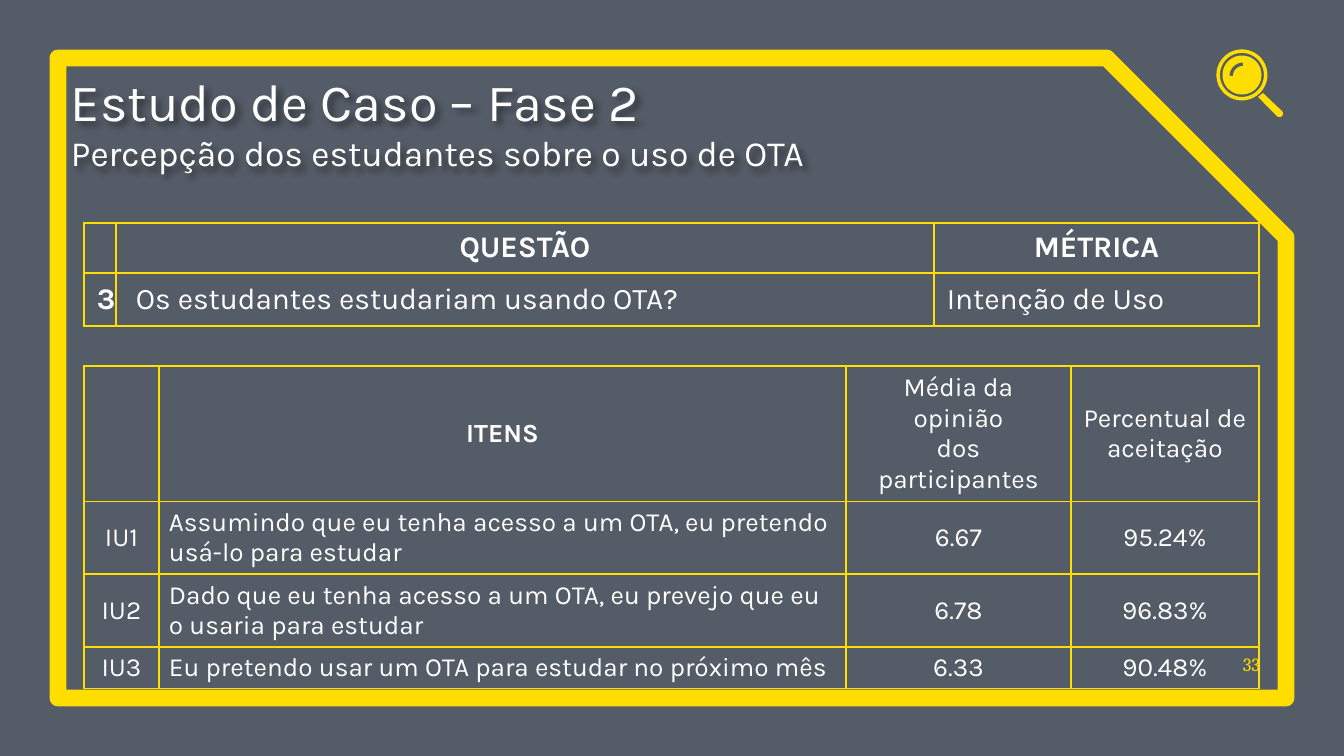
"""Build the slide on how students perceive the use of OTA."""
from math import cos, radians, sin

from lxml.etree import SubElement
from pptx import Presentation
from pptx.dml.color import RGBColor as RGB
from pptx.enum.shapes import MSO_SHAPE as SHAPE
from pptx.enum.text import MSO_ANCHOR as ANCHOR, PP_ALIGN as ALIGN
from pptx.oxml.ns import qn
from pptx.util import Pt

PX = 914400 / 134.4
THEME = {
    "yellow": "FFDE00", "white": "FFFFFF", "navy": "040F20",
    "font": "Karla", "number_font": "Cambria",
    "title": 28, "subtitle": 19, "question": 16, "item": 14, "number": 10,
}


def px(*values):
    return [round(v * PX) for v in values]


def write(tf, lines, align, **font):
    for i, (text, size) in enumerate(lines):
        p = tf.paragraphs[0] if i == 0 else tf.add_paragraph()
        p.alignment = align
        r = p.add_run()
        r.text = text
        look = {"name": THEME["font"], "size": Pt(size), "bold": False} | font
        color = look.pop("color", THEME["white"])
        for name, value in look.items():
            setattr(r.font, name, value)
        r.font.color.rgb = RGB.from_string(color)


prs = Presentation()
prs.slide_width, prs.slide_height = px(1344, 756)
s = prs.slides.add_slide(prs.slide_layouts[6])
yellow = RGB.from_string(THEME["yellow"])

veil = s.shapes.add_shape(SHAPE.RECTANGLE, *px(0, 0, 1344, 756))
veil.shadow.inherit = False
veil.fill.solid()
veil.fill.fore_color.rgb = RGB.from_string(THEME["navy"])
SubElement(veil.fill._xPr.find(".//" + qn("a:srgbClr")), qn("a:alpha"), val="68000")
veil.line.fill.background()

frame = s.shapes.add_shape(SHAPE.SNIP_1_RECTANGLE, *px(58, 58, 1228, 640))
frame.shadow.inherit = False
frame.adjustments[0] = 0.28
frame.fill.background()
frame.line.color.rgb = yellow
frame.line.width = Pt(9)

sp = s.shapes.add_textbox(*px(1224, 637, 36, 38))
number_tf = sp.text_frame
title = s.shapes.add_textbox(*px(71, 73, 1130, 101))
title_tf = title.text_frame
for tf in (number_tf, title_tf):
    for name, value in {"margin_left": 0, "margin_right": 0, "margin_top": 0, "margin_bottom": 0,
                        "word_wrap": True, "vertical_anchor": ANCHOR.BOTTOM}.items():
        setattr(tf, name, value)
write(number_tf, [("33", THEME["number"])], ALIGN.RIGHT,
      name=THEME["number_font"], color=THEME["yellow"])
write(title_tf, [("Estudo de Caso – Fase 2", THEME["title"]),
                 ("Percepção dos estudantes sobre o uso de OTA", THEME["subtitle"])], ALIGN.LEFT)
effects = SubElement(title._element.spPr, qn("a:effectLst"))
shadow = SubElement(effects, qn("a:outerShdw"), blurRad="38100", dist="38100", dir="2700000")
tint = SubElement(shadow, qn("a:srgbClr"), val="000000")
SubElement(tint, qn("a:alpha"), val="43000")

arcs = {}
for name, x, y, radius, start, end in [
    ("rim", 1242, 75, 25.5, 0, 354), ("rim hole", 1242, 75, 22, 0, 354),
    ("lens", 1242, 75, 19.5, 0, 354),
    ("glint", 1243, 76, 13.5, 180, 270), ("glint inside", 1243, 76, 10, 180, 270),
]:
    arcs[name] = [px(x + radius * cos(radians(a)), y + radius * sin(radians(a)))
                  for a in range(start, end + 1, 6)]
glint = arcs["glint"] + arcs["glint inside"][::-1]
handle = [px(*point) for point in
          [(1263, 93), (1258, 97), (1278, 117), (1281, 117), (1283, 115), (1283, 112)]]
magnifier = s.shapes.add_group_shape()
for contours in ([arcs["rim"], arcs["rim hole"]], [arcs["lens"], glint], [handle]):
    builder = magnifier.shapes.build_freeform(*contours[0][0])
    builder.add_line_segments(contours[0][1:])
    for contour in contours[1:]:
        builder.move_to(*contour[0])
        builder.add_line_segments(contour[1:])
    sp = builder.convert_to_shape()
    sp.shadow.inherit = False
    sp.fill.solid()
    sp.fill.fore_color.rgb = yellow
    sp.line.fill.background()

TABLES = [
    {"top": 223, "size": THEME["question"], "cols": [32, 818, 325], "rows": [49, 53],
     "margins": (13, 7), "left": (1, 2), "bold": ("QUESTÃO", "MÉTRICA", "3"),
     "cells": [["", "QUESTÃO", "MÉTRICA"],
               ["3", "Os estudantes estudariam usando OTA?", "Intenção de Uso"]]},
    {"top": 366, "size": THEME["item"], "cols": [75, 687, 225, 188], "rows": [131, 71, 71, 41],
     "margins": (10, 5), "left": (1,), "bold": ("ITENS",),
     "cells": [["", "ITENS", "Média da opinião\ndos participantes", "Percentual de\naceitação"],
               ["IU1", "Assumindo que eu tenha acesso a um OTA, eu pretendo usá-lo para estudar",
                "6.67", "95.24%"],
               ["IU2", "Dado que eu tenha acesso a um OTA, eu prevejo que eu o usaria para estudar",
                "6.78", "96.83%"],
               ["IU3", "Eu pretendo usar um OTA para estudar no próximo mês", "6.33", "90.48%"]]},
]
for spec in TABLES:
    cols, rows = spec["cols"], spec["rows"]
    table = s.shapes.add_table(len(rows), len(cols),
                               *px(84, spec["top"], sum(cols), sum(rows))).table
    table.first_row = table.horz_banding = False
    for column, width in zip(table.columns, px(*cols)):
        column.width = width
    side, edge = px(*spec["margins"])
    for i, height in enumerate(px(*rows)):
        table.rows[i].height = height
        for j, text in enumerate(spec["cells"][i]):
            cell = table.cell(i, j)
            for name, value in {"margin_left": side, "margin_right": side, "margin_top": edge,
                                "margin_bottom": edge, "vertical_anchor": ANCHOR.MIDDLE}.items():
                setattr(cell, name, value)
            if text:
                align = ALIGN.LEFT if i and j in spec["left"] else ALIGN.CENTER
                write(cell.text_frame, [(line, spec["size"]) for line in text.split("\n")],
                      align, bold=text in spec["bold"])
            else:
                SubElement(cell.text_frame.paragraphs[0]._p, qn("a:endParaRPr"),
                           sz=str(spec["size"] * 100))
            tcPr = cell._tc.get_or_add_tcPr()
            for border in ("a:lnL", "a:lnR", "a:lnT", "a:lnB"):
                ln = SubElement(tcPr, qn(border), w=str(Pt(1)))
                fill = SubElement(ln, qn("a:solidFill"))
                SubElement(fill, qn("a:srgbClr"), val=THEME["yellow"])
            cell.fill.background()
    if spec["top"] == 223:
        table.cell(1, 1).margin_left = px(20)[0]

prs.save("out.pptx")
